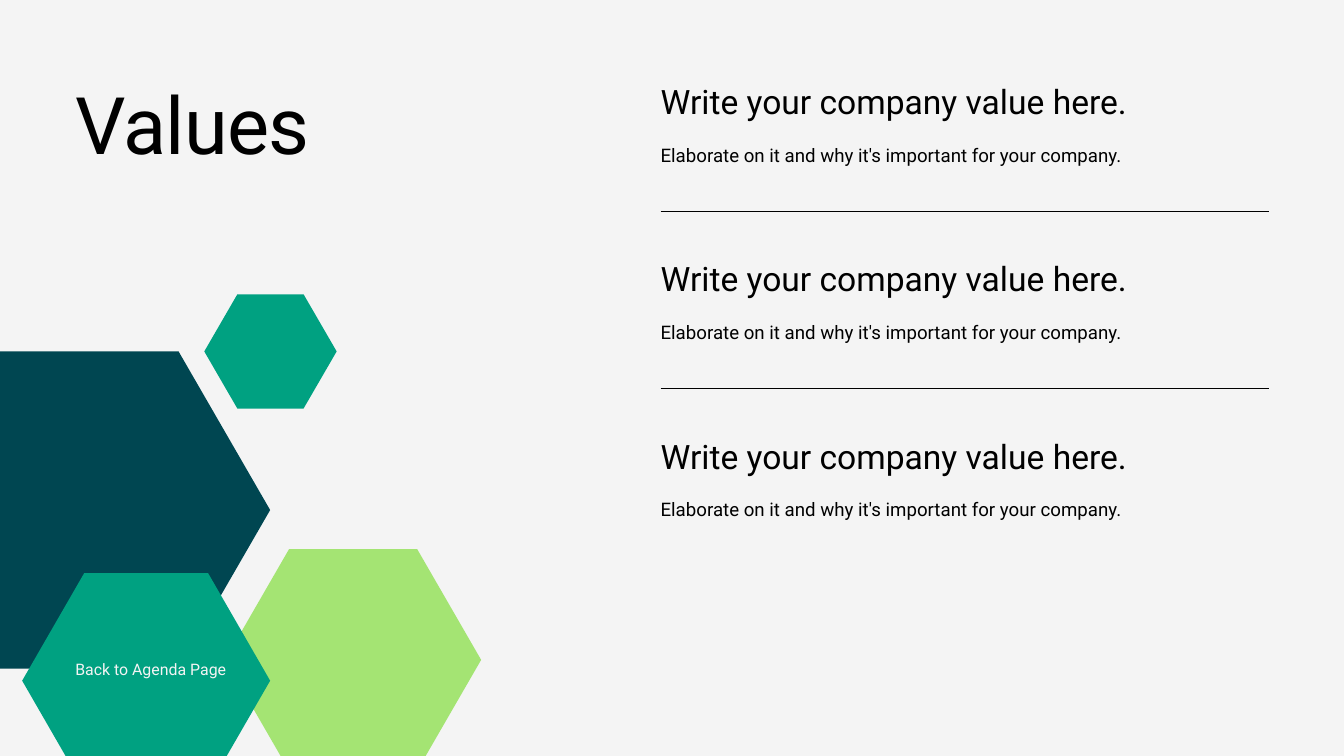
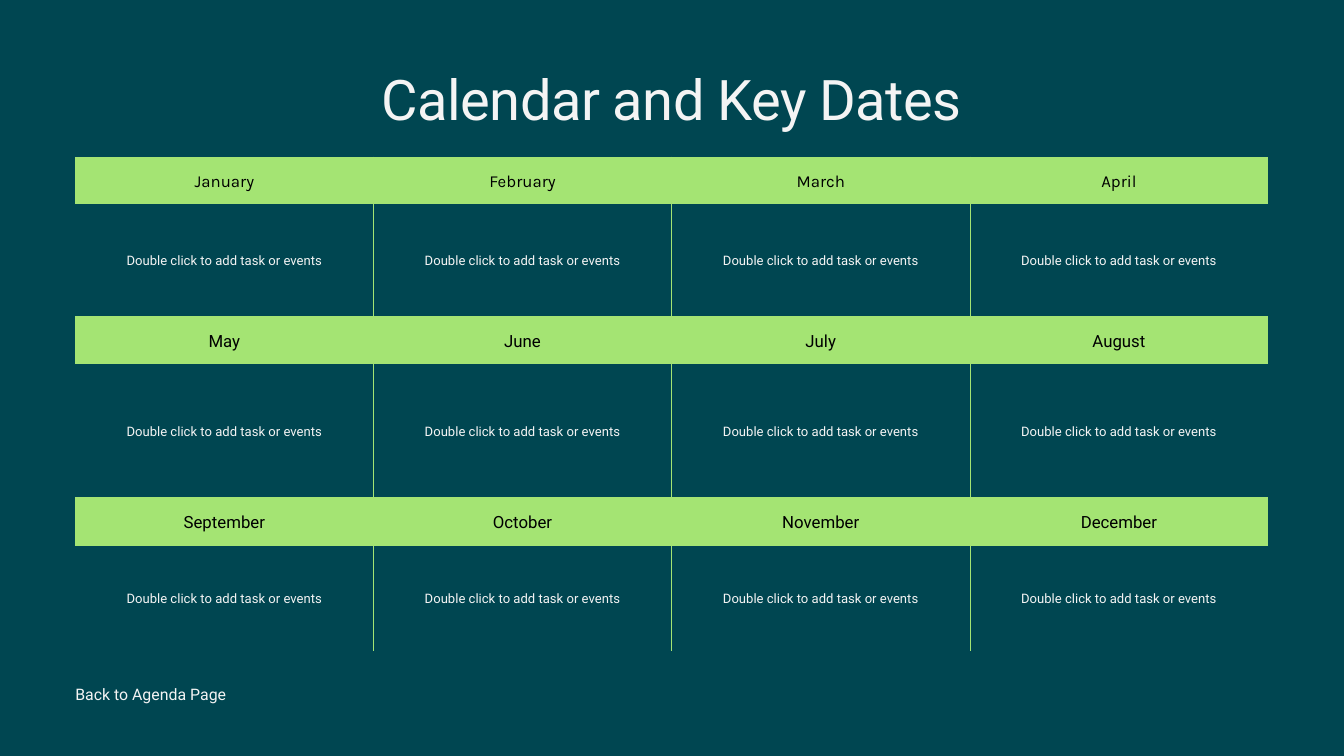
from lxml import etree
from pptx import Presentation
from pptx import util as u
from pptx.dml.color import RGBColor
from pptx.enum import shapes, text
from pptx.oxml.ns import qn

hues = {"dark": "004651", "lime": "A4E473", "green": "00A181",
        "pale": "F4F4F4", "black": "000000"}
rgb = {name: RGBColor.from_string(code) for name, code in hues.items()}
LEFT, CENTER = text.PP_ALIGN.LEFT, text.PP_ALIGN.CENTER
edge, wide = 1.12, 17.75


def write(frame, words, size, hue, lead, align=LEFT, font="Roboto", track=0):
    """Fill a text frame with one paragraph at exact line spacing."""
    frame.word_wrap = True
    frame.text = words
    par = frame.paragraphs[0]
    par.alignment = align
    par.line_spacing = u.Pt(lead)
    par.font.size = u.Pt(size)
    par.font.name = font
    par.font.color.rgb = rgb[hue]
    if track:
        par._p.get_or_add_pPr().get_or_add_defRPr().set("spc", str(track))


def place(slide, box, *args, title=False, **more):
    """Put text without margins in the title or in a new box."""
    spot = [u.Inches(v) for v in box]
    if title:
        shape = slide.shapes.title
        shape.left, shape.top, shape.width, shape.height = spot
    else:
        shape = slide.shapes.add_textbox(*spot)
    frame = shape.text_frame
    frame.margin_left = frame.margin_right = 0
    frame.margin_top = frame.margin_bottom = 0
    frame.vertical_anchor = text.MSO_ANCHOR.TOP
    frame.auto_size = text.MSO_AUTO_SIZE.NONE
    write(frame, *args, **more)


deck = Presentation()
deck.slide_width, deck.slide_height = u.Inches(20), u.Inches(11.25)
values, dates = [deck.slides.add_slide(deck.slide_layouts[5]) for _ in range(2)]
for slide, hue in ((values, "pale"), (dates, "dark")):
    slide.background.fill.solid()
    slide.background.fill.fore_color.rgb = rgb[hue]

# Values: title and hexagons
place(values, (edge, 1.12, 6.03, 1.41), "Values", 85, "black", 102,
      title=True, track=-80)
for x, y, w, h, hue in (
    (-1.43, 5.23, 5.45, 4.72, "dark"),
    (3.35, 8.17, 3.81, 3.3, "lime"),
    (3.04, 4.38, 1.97, 1.7, "green"),
    (0.33, 8.53, 3.69, 3.2, "green"),
):
    hexa = values.shapes.add_shape(
        shapes.MSO_SHAPE.HEXAGON, *[u.Inches(v) for v in (x, y, w, h)])
    hexa.adjustments[0] = 0.25 * w / h
    hexa.shadow.inherit = False
    hexa.fill.solid()
    hexa.fill.fore_color.rgb = rgb[hue]
    hexa.line.fill.background()

# Values: three entries with rules between them
col, span, step = 9.83, 9.05, 2.64
for i in range(3):
    top = 1.2 + i * step
    place(values, (col, top, span, 0.6),
          "Write your company value here.", 36, "black", 43.2)
    place(values, (col, top + 0.88, span, 0.37),
          "Elaborate on it and why it's important for your company.",
          20, "black", 28)
    if i < 2:
        y = u.Inches(top + 1.94)
        rule = values.shapes.add_connector(
            shapes.MSO_CONNECTOR.STRAIGHT,
            u.Inches(col), y, u.Inches(col + span), y)
        rule.line.color.rgb = rgb["black"]
        rule.line.width = u.Pt(0.75)
        etree.SubElement(rule._element.spPr, qn("a:effectLst"))

# Calendar: title and table
place(dates, (edge, 0.88, wide, 1.07), "Calendar and Key Dates", 60, "pale", 78,
      title=True, align=CENTER, track=-60)
months = ("January February March April May June July August "
          "September October November December").split()
rows = (0.7, 1.67, 0.71, 1.99, 0.71, 1.58)
grid = dates.shapes.add_table(
    len(rows), 4, u.Inches(edge), u.Inches(2.33),
    u.Inches(wide), u.Inches(sum(rows))).table
grid.first_row = grid.horz_banding = False
for r, high in enumerate(rows):
    grid.rows[r].height = u.Inches(high)
    head = r % 2 == 0
    for c in range(4):
        cell = grid.cell(r, c)
        cell.margin_left = cell.margin_right = u.Inches(0.13)
        cell.margin_top = cell.margin_bottom = u.Inches(0.13)
        cell.vertical_anchor = text.MSO_ANCHOR.MIDDLE
        cell.fill.solid()
        cell.fill.fore_color.rgb = rgb["lime" if head else "dark"]
        if head:
            write(cell.text_frame, months[r // 2 * 4 + c], 18, "black", 25.2,
                  CENTER, "Roboto" if r else "Karla")
        else:
            write(cell.text_frame, "Double click to add task or events",
                  14, "pale", 19.6, CENTER)
        # Inner borders only
        inner = {"lnL": c > 0, "lnR": c < 3, "lnT": r > 0, "lnB": r < 5}
        props = cell._tc.get_or_add_tcPr()
        for n, (side, drawn) in enumerate(inner.items()):
            line = etree.Element(qn("a:" + side), w=str(u.Pt(0.75)))
            fill = etree.SubElement(
                line, qn("a:solidFill" if drawn else "a:noFill"))
            if drawn:
                etree.SubElement(fill, qn("a:srgbClr"), val=hues["lime"])
            props.insert(n, line)

# Link text on both slides
for slide, y in ((values, 9.77), (dates, 10.14)):
    place(slide, (edge, y, 5.72, 0.32), "Back to Agenda Page", 17, "pale", 23.8)

deck.save("out.pptx")
